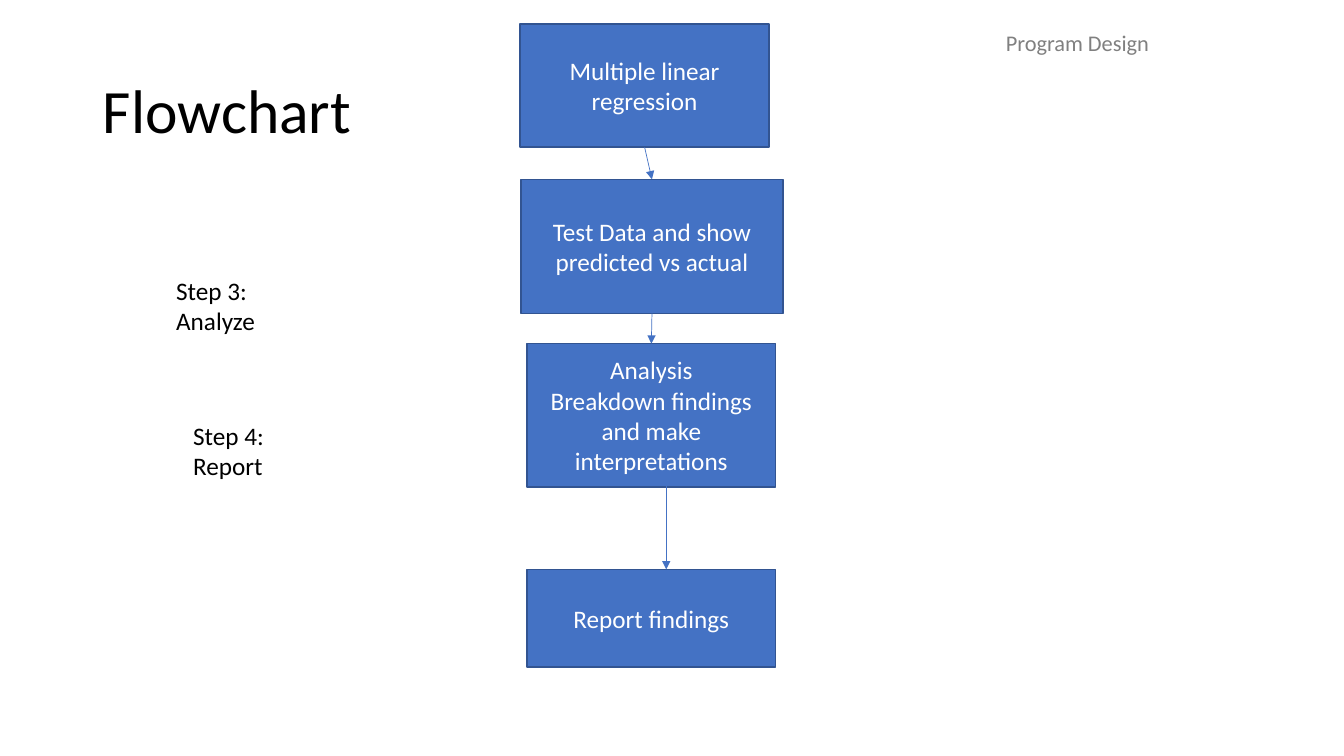
"""Build the Flowchart slide with its analysis and reporting steps."""
from dataclasses import dataclass
from typing import Any

import lxml.etree
import pptx
import pptx.dml.color
import pptx.enum.shapes
import pptx.enum.text
import pptx.oxml.ns
import pptx.util

Cm = pptx.util.Cm
Pt = pptx.util.Pt
RGBColor = pptx.dml.color.RGBColor
Align = pptx.enum.text.PP_ALIGN
Anchor = pptx.enum.text.MSO_ANCHOR

BLACK = RGBColor(0x00, 0x00, 0x00)
WHITE = RGBColor(0xFF, 0xFF, 0xFF)
GRAY = RGBColor(0x80, 0x80, 0x80)
BLUE = RGBColor(0x44, 0x72, 0xC4)
DARK_BLUE = RGBColor(0x32, 0x54, 0x91)

TOP_SITE, BOTTOM_SITE = 0, 2


@dataclass(frozen=True)
class Block:
    lines: tuple[str, ...]
    left: float
    top: float
    width: float
    height: float
    size: int = 18
    color: RGBColor = BLACK

    def bounds(self) -> tuple[int, int, int, int]:
        return Cm(self.left), Cm(self.top), Cm(self.width), Cm(self.height)


TITLE = Block(("Flowchart",), 2.34, 1.02, 29.21, 3.68, 44)
LABELS = (
    Block(("Program Design",), 25.1, 0.61, 7.62, 0.94, 16, GRAY),
    Block(("Step 3:", "Analyze"), 4.19, 6.81, 5.56, 1.8),
    Block(("Step 4:", "Report"), 4.62, 10.46, 3.53, 1.8),
)
STAGES = (
    Block(("Multiple linear regression",), 13.11, 0.61, 6.27, 3.1, color=WHITE),
    Block(("Test Data and show predicted vs actual",), 13.13, 4.52, 6.6, 3.38, color=WHITE),
    Block(("Analysis", "Breakdown findings and make interpretations"),
          13.28, 8.66, 6.27, 3.61, color=WHITE),
    Block(("Report findings",), 13.28, 14.35, 6.27, 2.46, color=WHITE),
)
REPORT_ARROW = (16.79, 8.79, 16.79, 14.35)


def apply(target: Any, formats: dict[str, Any]) -> None:
    for name, value in formats.items():
        setattr(target, name, value)


def write(frame: Any, block: Block, anchor: Any, paragraph_format: dict[str, Any]) -> None:
    apply(frame, {"word_wrap": True, "vertical_anchor": anchor})
    frame.text = "\n".join(block.lines)
    for paragraph in frame.paragraphs:
        apply(paragraph, paragraph_format)
        for run in paragraph.runs:
            apply(run.font, {"name": "Calibri", "size": Pt(block.size)})
            run.font.color.rgb = block.color


def add_title(slide: Any) -> None:
    heading = slide.shapes.title
    apply(heading, dict(zip(("left", "top", "width", "height"), TITLE.bounds())))
    heading.text_frame.auto_size = pptx.enum.text.MSO_AUTO_SIZE.NONE
    write(heading.text_frame, TITLE, Anchor.MIDDLE,
          {"alignment": Align.LEFT, "line_spacing": 0.9})


def add_label(slide: Any, label: Block) -> None:
    frame = slide.shapes.add_textbox(*label.bounds()).text_frame
    write(frame, label, Anchor.TOP, {"alignment": Align.LEFT})
    frame.auto_size = pptx.enum.text.MSO_AUTO_SIZE.SHAPE_TO_FIT_TEXT


def add_stage(slide: Any, stage: Block) -> Any:
    box = slide.shapes.add_shape(pptx.enum.shapes.MSO_SHAPE.RECTANGLE, *stage.bounds())
    box.shadow.inherit = False
    box.fill.solid()
    box.fill.fore_color.rgb = BLUE
    box.line.color.rgb = DARK_BLUE
    box.line.width = Pt(1)
    write(box.text_frame, stage, Anchor.MIDDLE, {"alignment": Align.CENTER})
    return box


def add_arrow(slide: Any, ends: tuple[float, float, float, float]) -> Any:
    arrow = slide.shapes.add_connector(
        pptx.enum.shapes.MSO_CONNECTOR.STRAIGHT, *(Cm(end) for end in ends))
    arrow.line.color.rgb = BLUE
    arrow.line.width = Pt(0.5)
    qn = pptx.oxml.ns.qn
    lxml.etree.SubElement(arrow.line._get_or_add_ln(), qn("a:tailEnd"), type="triangle")
    lxml.etree.SubElement(arrow._element.spPr, qn("a:effectLst"))
    return arrow


def main() -> None:
    deck = pptx.Presentation()
    apply(deck, {"slide_width": Cm(33.87), "slide_height": Cm(19.05)})
    slide = deck.slides.add_slide(deck.slide_layouts[5])
    add_title(slide)
    for label in LABELS:
        add_label(slide, label)
    regression, test, analysis, _ = [add_stage(slide, stage) for stage in STAGES]
    for upper, lower in ((regression, test), (test, analysis)):
        arrow = add_arrow(slide, (0, 0, 0, 0))
        arrow.begin_connect(upper, BOTTOM_SITE)
        arrow.end_connect(lower, TOP_SITE)
    add_arrow(slide, REPORT_ARROW)
    deck.save("out.pptx")


if __name__ == "__main__":
    main()
